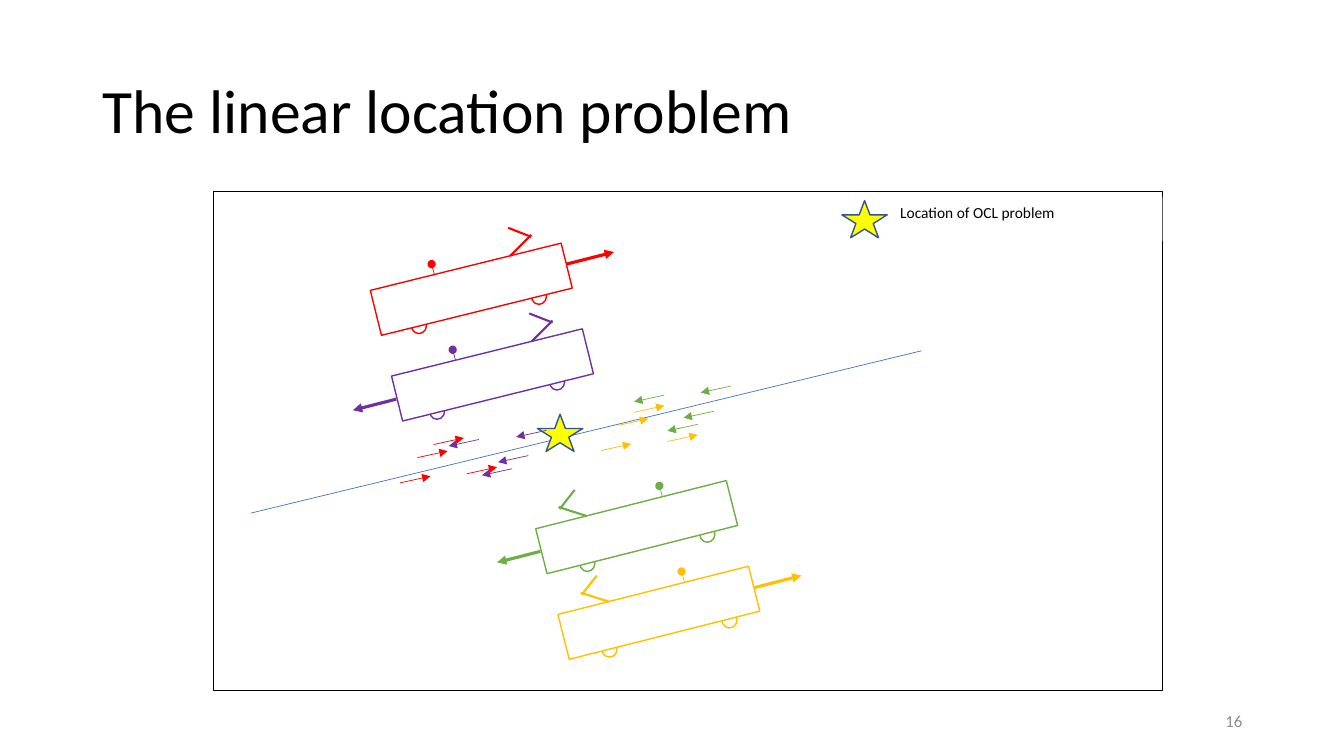
"""Build the slide on the linear location problem."""
from pptx import Presentation
from pptx.dml.color import RGBColor as Rgb
from pptx.enum import shapes, text
from pptx.oxml.ns import qn
from pptx.util import Inches, Pt
from lxml import etree


class Theme:
    font = "Calibri"
    black, white, grey = "000000", "FFFFFF", "8C8C8C"
    red, purple, green, gold = "FF0000", "7030A0", "70AD47", "FFC000"
    track, star, edge = "4472C4", "FFFF00", "325491"
    title, label, number = 44, 11, 12
    thin, frame, body, arm, tow = 0.5, 0.75, 1, 1.5, 2.25


deck = Presentation()
deck.slide_width, deck.slide_height = Inches(13.33), Inches(7.5)
slide = deck.slides.add_slide(deck.slide_layouts[6])
Kind = shapes.MSO_SHAPE


def draw(kind, x, y, w, h, color, width, fill=None, turn=0):
    shape = slide.shapes.add_shape(kind, Inches(x), Inches(y), Inches(w), Inches(h))
    shape.shadow.inherit = False
    shape.rotation = turn
    shape.line.color.rgb = Rgb.from_string(color)
    shape.line.width = Pt(width)
    if fill:
        shape.fill.solid()
        shape.fill.fore_color.rgb = Rgb.from_string(fill)
    else:
        shape.fill.background()


def link(x, y, dx, dy, color, width, head=None):
    line = slide.shapes.add_connector(
        shapes.MSO_CONNECTOR.STRAIGHT,
        Inches(x), Inches(y), Inches(x + dx), Inches(y + dy))
    line.line.color.rgb = Rgb.from_string(color)
    line.line.width = Pt(width)
    if head:
        etree.SubElement(line.line._get_or_add_ln(), qn("a:tailEnd"), type=head)
    etree.SubElement(line._element.spPr, qn("a:effectLst"))


draw(Kind.RECTANGLE, 2.12, 1.9, 9.41, 4.95, Theme.black, Theme.frame)
link(2.49, 5.09, 6.65, -1.61, Theme.track, Theme.thin)
for x, y in [(5.33, 4.11), (8.35, 1.99)]:
    draw(Kind.STAR_5_POINT, x, y, 0.45, 0.37, Theme.edge, Theme.body, Theme.star)

# Each arm set: two pantograph bars and a mast, as offsets from the car body.
upper = [(1.36, -0.1, 0.21, -0.21), (1.57, -0.29, -0.23, -0.09), (0.61, 0.09, -0.03, -0.11)]
lower = [(0.48, 0.12, -0.28, -0.09), (0.21, 0.05, 0.15, -0.19), (1.23, -0.07, -0.03, -0.11)]
ahead, back = (1.92, -0.02, 0.47, -0.12), (0.02, 0.47, -0.43, 0.11)

cars = [
    (Theme.red, 3.7, 2.64, 346.1, 0, upper, ahead,
     [(4.3, 4.41), (4.14, 4.54), (4.63, 4.7), (3.97, 4.79)]),
    (Theme.gold, 5.56, 5.85, 345.8, 0.03, lower, ahead,
     [(6.29, 4.09), (6.13, 4.22), (6.62, 4.38), (5.96, 4.47)]),
    (Theme.green, 5.34, 5, 345.8, 0.03, lower, back,
     [(6.92, 4.21), (7.08, 4.08), (6.59, 3.92), (7.25, 3.83)]),
    (Theme.purple, 3.91, 3.49, 346.1, -0.03, upper, back,
     [(5.08, 4.65), (5.24, 4.52), (4.75, 4.36), (5.42, 4.27)]),
]
for color, x, y, turn, roll, arms, tow, marks in cars:
    for dx, dy in [(1.57, 0.22), (0.38, 0.51)]:
        draw(Kind.OVAL, x + dx + roll, y + dy, 0.15, 0.16, color, Theme.body)
    draw(Kind.RECTANGLE, x, y, 1.95, 0.46, color, Theme.body, Theme.white, turn)
    styles = [(Theme.arm, None), (Theme.arm, None), (Theme.thin, "oval"), (Theme.tow, "triangle")]
    for (left, top, dx, dy), (width, head) in zip(arms + [tow], styles):
        link(x + left, y + top, dx, dy, color, width, head)
    way = 1 if tow is ahead else -1
    for left, top in marks:
        link(left, top, 0.3 * way, -0.065 * way, color, Theme.thin, "triangle")

Anchor, Align = text.MSO_ANCHOR, text.PP_ALIGN
notes = [
    ("The linear location problem", 0.92, 0.4, 11.5, 1.45, Theme.title, Theme.black,
     Anchor.MIDDLE, Align.LEFT, 0.9, 0, True),
    ("16", 9.42, 6.95, 3, 0.4, Theme.number, Theme.grey,
     Anchor.MIDDLE, Align.RIGHT, 1, 0, True),
    ("Location of OCL problem", 8.83, 1.95, 2.7, 0.44, Theme.label, Theme.black,
     Anchor.TOP, Align.LEFT, 1.07, 8, False),
]
for words, x, y, w, h, size, color, anchor, align, space, after, wrap in notes:
    box = slide.shapes.add_textbox(Inches(x), Inches(y), Inches(w), Inches(h))
    if not wrap:
        box.fill.solid()
        box.fill.fore_color.rgb = Rgb.from_string(Theme.white)
    frame = box.text_frame
    frame.text = words
    frame.word_wrap = wrap
    frame.vertical_anchor = anchor
    para = frame.paragraphs[0]
    para.alignment = align
    para.line_spacing = space
    para.space_after = Pt(after)
    font = para.runs[0].font
    font.name, font.size = Theme.font, Pt(size)
    font.color.rgb = Rgb.from_string(color)

deck.save("out.pptx")
